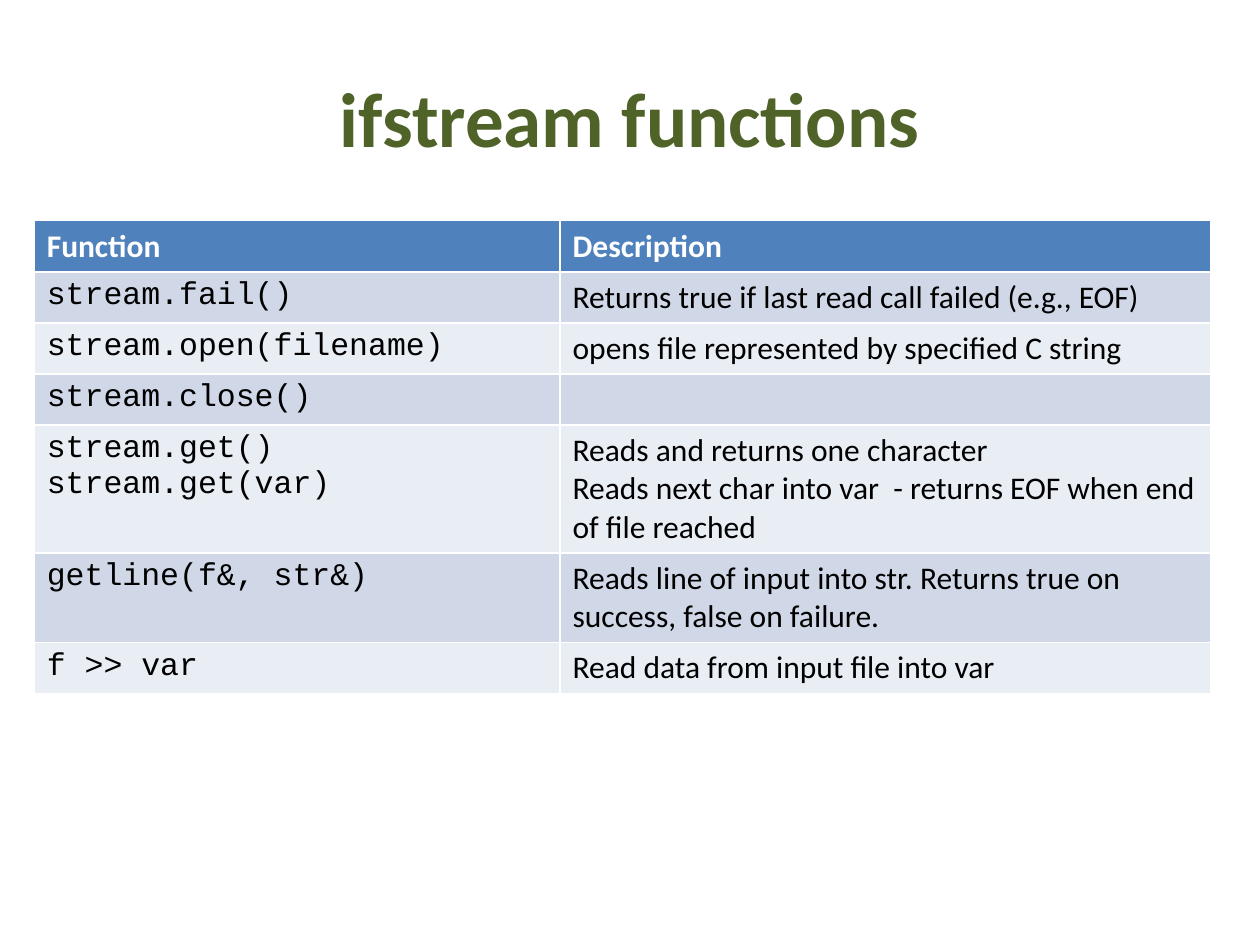
import pptx
import pptx.dml.color
import pptx.enum.text
import pptx.util
from pptx.util import Cm

COLORS = {
    "title": "4F6228",
    "header": "4F81BD",
    "header_text": "FFFFFF",
    "odd_row": "D0D8E8",
    "even_row": "E9EDF4",
    "text": "000000",
}
BODY_FONT = "Calibri"
CODE_FONT = "Courier New"
COLUMN_WIDTHS = (10.6, 13.12)
ROW_HEIGHT = 1.03

HEADINGS = ("Function", "Description")
# Each row holds the lines of its code cell and of its description cell.
FUNCTIONS = [
    (["stream.fail()"], ["Returns true if last read call failed (e.g., EOF)"]),
    (["stream.open(filename)"], ["opens file represented by specified C string"]),
    (["stream.close()"], []),
    (["stream.get()", "stream.get(var)"],
     ["Reads and returns one character",
      "Reads next char into var  - returns EOF when end of file reached"]),
    (["getline(f&, str&)"],
     ["Reads line of input into str. Returns true on success, false on failure."]),
    (["f >> var"], ["Read data from input file into var"]),
]


def rgb(name):
    return pptx.dml.color.RGBColor.from_string(COLORS[name])


def add_span(para, text, font, size, color, bold=False):
    span = para.add_run()
    span.text = text
    span.font.name = font
    span.font.size = pptx.util.Pt(size)
    span.font.bold = bold
    span.font.color.rgb = rgb(color)


def place_title(page, left, top, width, height):
    title = page.shapes.title
    title.left, title.top, title.width, title.height = left, top, width, height
    title.text_frame.vertical_anchor = pptx.enum.text.MSO_ANCHOR.MIDDLE
    para = title.text_frame.paragraphs[0]
    para.alignment = pptx.enum.text.PP_ALIGN.CENTER
    add_span(para, "ifstream functions", BODY_FONT, 44, "title", bold=True)


def fill_cell(cell, lines, font, color, fill, bold=False):
    cell.fill.solid()
    cell.fill.fore_color.rgb = rgb(fill)
    frame = cell.text_frame
    for index, line in enumerate(lines):
        para = frame.add_paragraph() if index else frame.paragraphs[0]
        add_span(para, line, font, 18, color, bold)


def add_function_table(page, left, top):
    """Add the table; its white rules come from the default table style."""
    row_count = len(FUNCTIONS) + 1
    table = page.shapes.add_table(
        row_count, len(HEADINGS), left, top,
        Cm(sum(COLUMN_WIDTHS)), Cm(ROW_HEIGHT * row_count)).table
    for column, width in zip(table.columns, COLUMN_WIDTHS):
        column.width = Cm(width)
    for column, heading in enumerate(HEADINGS):
        fill_cell(table.cell(0, column), [heading], BODY_FONT,
                  "header_text", "header", bold=True)
    for row, (code, description) in enumerate(FUNCTIONS, start=1):
        fill = "odd_row" if row % 2 else "even_row"
        fill_cell(table.cell(row, 0), code, CODE_FONT, "text", fill)
        fill_cell(table.cell(row, 1), description, BODY_FONT, "text", fill)


def main():
    deck = pptx.Presentation()
    deck.slide_width, deck.slide_height = Cm(25.4), Cm(19.05)
    page = deck.slides.add_slide(deck.slide_layouts[5])
    place_title(page, Cm(1.27), Cm(0.76), Cm(22.86), Cm(3.18))
    add_function_table(page, Cm(0.69), Cm(4.45))
    deck.save("out.pptx")


if __name__ == "__main__":
    main()
